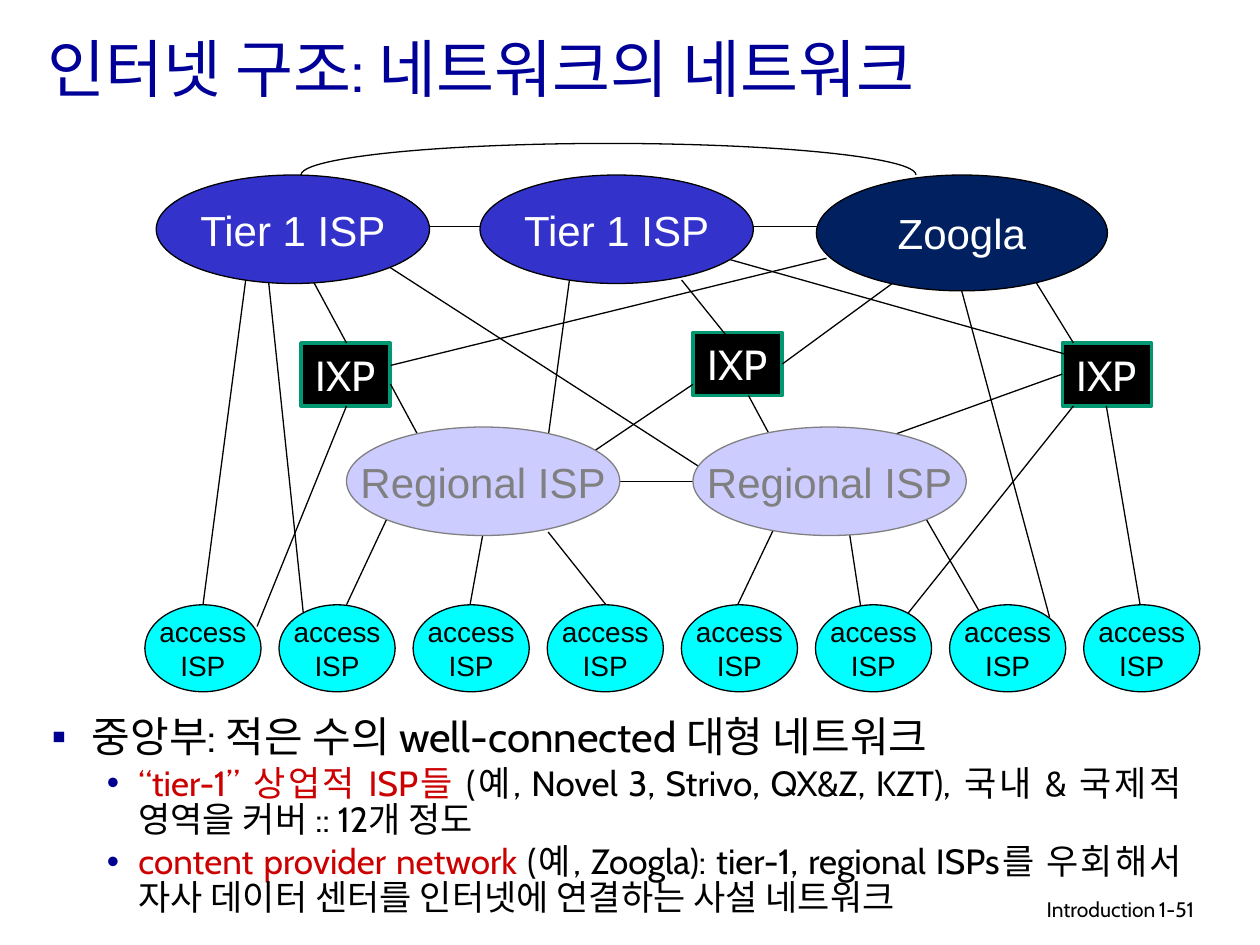
from lxml.etree import SubElement
from pptx import Presentation
from pptx.dml.color import RGBColor
from pptx.enum.shapes import MSO_CONNECTOR, MSO_SHAPE
from pptx.enum.text import MSO_ANCHOR, MSO_AUTO_SIZE, PP_ALIGN
from pptx.oxml.ns import qn
from pptx.util import Pt

BLACK = RGBColor(0, 0, 0)
WHITE = RGBColor(255, 255, 255)
TITLE_BLUE = RGBColor(0x00, 0x00, 0x99)
TIER_BLUE = RGBColor(0x33, 0x33, 0xCC)
NAVY = RGBColor(0x00, 0x20, 0x60)
LAVENDER = RGBColor(0xCC, 0xCC, 0xFF)
GRAY = RGBColor(0x80, 0x80, 0x80)
CYAN = RGBColor(0x00, 0xFF, 0xFF)
GREEN = RGBColor(0x00, 0x97, 0x71)
RED = RGBColor(0xCC, 0x00, 0x00)
BULLET_COLOR = "000090"

TITLE = "인터넷 구조: 네트워크의 네트워크"
BULLETS = [
    (0, "▪", 24, [("중앙부: 적은 수의 well-connected 대형 네트워크", BLACK)]),
    (1, "•", 20, [
        ("“tier-1” 상업적 ISP들 ", RED),
        ("(예, Novel 3, Strivo, QX&Z, KZT), 국내 & 국제적 영역을 커버 :: 12개 정도", BLACK),
    ]),
    (1, "•", 20, [
        ("content provider network ", RED),
        ("(예, Zoogla): tier-1, regional ISPs를 우회해서 자사 데이터 센터를 "
         "인터넷에 연결하는 사설 네트워크", BLACK),
    ]),
]
INDENTS = [(27.4, -23), (54, -18)]
FOOTERS = [
    ("Introduction", 439.2, 228.2, PP_ALIGN.RIGHT),
    ("1-51", 655.2, 53.3, PP_ALIGN.LEFT),
]

EXCHANGES = [(172, 196), (396, 190), (607, 196)]
NETWORKS = [
    ("Tier 1 ISP", 89.3, 100, 156.2, 62, TIER_BLUE, BLACK, WHITE),
    ("Tier 1 ISP", 274.3, 100, 156.2, 62, TIER_BLUE, BLACK, WHITE),
    ("Zoogla", 466.5, 100, 166.3, 66.2, NAVY, BLACK, WHITE),
    ("Regional ISP", 198, 244, 156.2, 62, LAVENDER, GRAY, GRAY),
    ("Regional ISP", 396, 244, 156.2, 62, LAVENDER, GRAY, GRAY),
]
ACCESS_COUNT = 8
ACCESS_LEFT, ACCESS_TOP, ACCESS_STEP = 82.8, 345.6, 76.64
ACCESS_WIDTH, ACCESS_HEIGHT = 66.4, 49.7

PEER_LINKS = [
    (284.4, 129.6, 242.6, 129.6),
    (469.4, 129.6, 427.7, 129.6),
    (396, 275, 354.2, 275),
]
ACCESS_LINKS = [
    (140.4, 160, 116, 345.6),
    (153.4, 160, 173.5, 352),
    (198, 232, 146.9, 358),
    (221, 296.6, 198, 345.6),
    (275.8, 306, 268.6, 345.6),
    (313.2, 304, 346.3, 345.6),
    (444.2, 298, 421.2, 346.3),
    (485.3, 304, 491.8, 346.3),
    (529.2, 296.6, 561.6, 352.8),
    (549.4, 165.6, 599.8, 352.8),
    (632.2, 232, 651.6, 346.3),
    (613.4, 232, 517, 352.8),
]
TRANSIT_LINKS = [
    (587.5, 154, 613.4, 196),
    (178.6, 160, 198, 196),
    (223.2, 219.6, 242.6, 255.6),
    (472.3, 147.6, 223.2, 208.8),
    (389.5, 160, 421.2, 199.4),
    (325.4, 160, 313.2, 250),
    (427.7, 226, 440.6, 250),
    (396, 219.6, 332, 262.8),
    (222.5, 152.6, 402.5, 268.6),
    (607, 213.8, 504.7, 250.6),
    (512.6, 160, 447.1, 208),
    (416.9, 148.3, 608.4, 202.3),
]


def format_paragraph(paragraph, size, font_name, color, alignment):
    paragraph.alignment = alignment
    paragraph.font.size = Pt(size)
    paragraph.font.name = font_name
    paragraph.font.color.rgb = color


def add_node(slide, kind, lines, box, fill, outline, color, size, font_name, weight=0.75):
    shape = slide.shapes.add_shape(kind, *map(Pt, box))
    shape.shadow.inherit = False
    shape.fill.solid()
    shape.fill.fore_color.rgb = fill
    shape.line.color.rgb = outline
    shape.line.width = Pt(weight)
    frame = shape.text_frame
    frame.word_wrap = False
    frame.vertical_anchor = MSO_ANCHOR.MIDDLE
    frame.text = "\n".join(lines)
    for paragraph in frame.paragraphs:
        format_paragraph(paragraph, size, font_name, color, PP_ALIGN.CENTER)


def add_link(slide, ends):
    link = slide.shapes.add_connector(MSO_CONNECTOR.STRAIGHT, *map(Pt, ends))
    link.line.color.rgb = BLACK
    link.line.width = Pt(0.75)
    SubElement(link._element.spPr, qn("a:effectLst"))


def add_bullet(paragraph, level, character):
    properties = paragraph._p.get_or_add_pPr()
    margin, indent = INDENTS[level]
    properties.set("marL", str(Pt(margin)))
    properties.set("indent", str(Pt(indent)))
    bullet_color = SubElement(properties, qn("a:buClr"))
    SubElement(bullet_color, qn("a:srgbClr"), val=BULLET_COLOR)
    SubElement(properties, qn("a:buFont"), typeface="Arial")
    SubElement(properties, qn("a:buChar"), char=character)


def add_title(slide):
    title = slide.shapes.title
    title.left, title.top, title.width, title.height = map(Pt, (20.2, 13, 637.2, 51))
    frame = title.text_frame
    frame.text = TITLE
    frame.auto_size = MSO_AUTO_SIZE.NONE
    frame.vertical_anchor = MSO_ANCHOR.MIDDLE
    format_paragraph(frame.paragraphs[0], 36, "Cabin", TITLE_BLUE, PP_ALIGN.LEFT)


def add_body(slide):
    frame = slide.shapes.add_textbox(*map(Pt, (18, 406.8, 664.6, 144))).text_frame
    frame.word_wrap = True
    for index, (level, character, size, runs) in enumerate(BULLETS):
        paragraph = frame.add_paragraph() if index else frame.paragraphs[0]
        paragraph.level = level
        add_bullet(paragraph, level, character)
        paragraph.line_spacing = 0.85
        if index:
            paragraph.space_before = Pt(size * 0.2)
        paragraph.alignment = PP_ALIGN.JUSTIFY if level else PP_ALIGN.LEFT
        paragraph.font.size = Pt(size)
        paragraph.font.name = "Cabin"
        for text, color in runs:
            run = paragraph.add_run()
            run.text = text
            run.font.color.rgb = color


def add_footers(slide):
    for text, left, width, alignment in FOOTERS:
        frame = slide.shapes.add_textbox(*map(Pt, (left, 509, width, 22))).text_frame
        frame.word_wrap = True
        frame.text = text
        format_paragraph(frame.paragraphs[0], 12, "Cabin", BLACK, alignment)


def add_network(slide):
    for left, top in EXCHANGES:
        add_node(slide, MSO_SHAPE.RECTANGLE, ["IXP"], (left, top, 51, 36),
                 BLACK, GREEN, WHITE, 24, "Cabin", 2)
    for ends in PEER_LINKS + ACCESS_LINKS + TRANSIT_LINKS:
        add_link(slide, ends)
    arc = slide.shapes.add_shape(MSO_SHAPE.ARC, *map(Pt, (172, 82, 351.4, 36)))
    arc.adjustments[0] = 106.82
    arc.adjustments[1] = 0
    arc.shadow.inherit = False
    arc.fill.background()
    arc.line.color.rgb = BLACK
    arc.line.width = Pt(0.75)
    for label, left, top, width, height, fill, outline, color in NETWORKS:
        add_node(slide, MSO_SHAPE.OVAL, [label], (left, top, width, height),
                 fill, outline, color, 24, "Arial")
    for index in range(ACCESS_COUNT):
        box = (ACCESS_LEFT + index * ACCESS_STEP, ACCESS_TOP, ACCESS_WIDTH, ACCESS_HEIGHT)
        add_node(slide, MSO_SHAPE.OVAL, ["access", "ISP"], box, CYAN, BLACK, BLACK, 16, "Arial")


def main():
    presentation = Presentation()
    presentation.slide_width, presentation.slide_height = Pt(720), Pt(540)
    slide = presentation.slides.add_slide(presentation.slide_layouts[5])
    add_title(slide)
    add_body(slide)
    add_footers(slide)
    add_network(slide)
    presentation.save("out.pptx")


if __name__ == "__main__":
    main()
